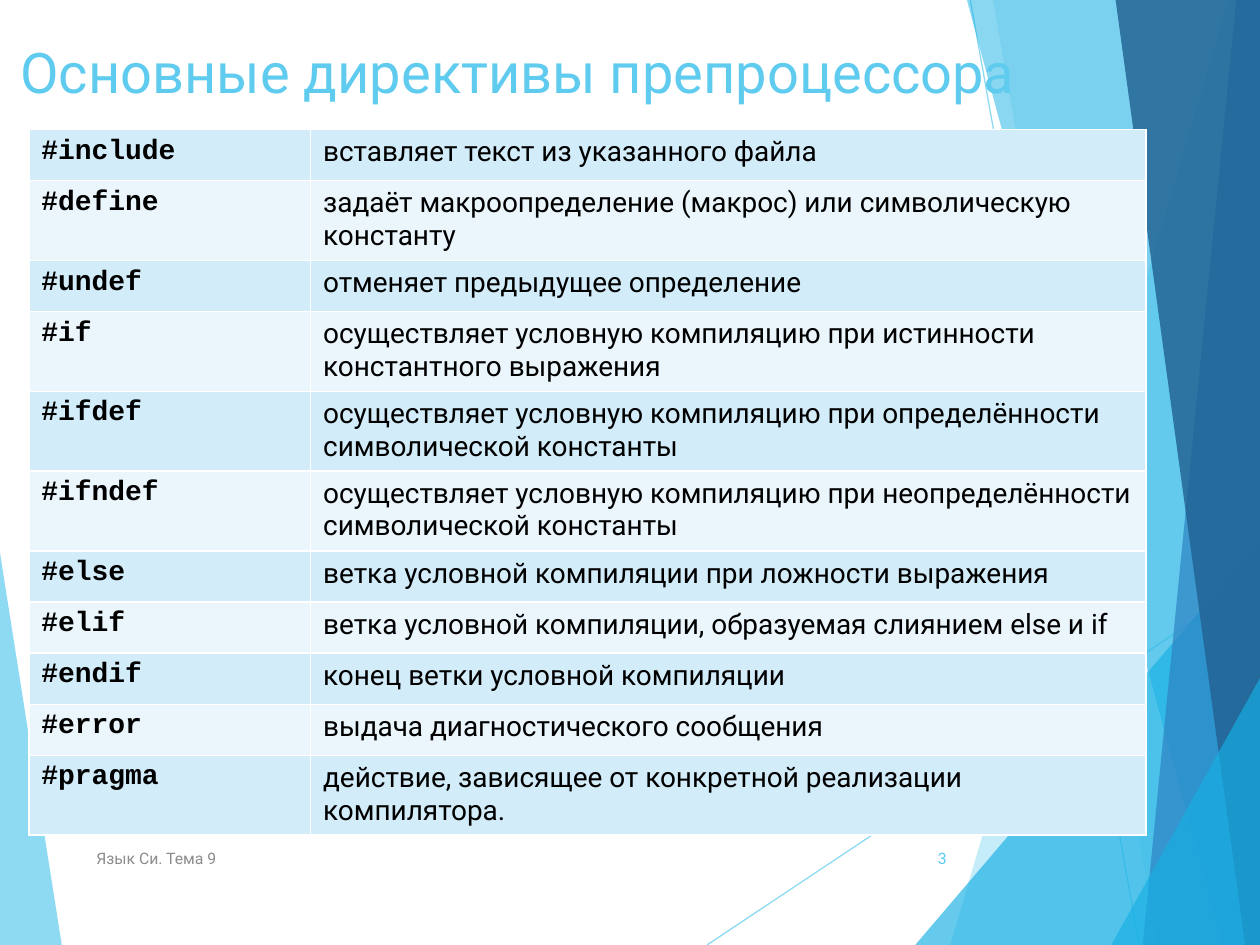
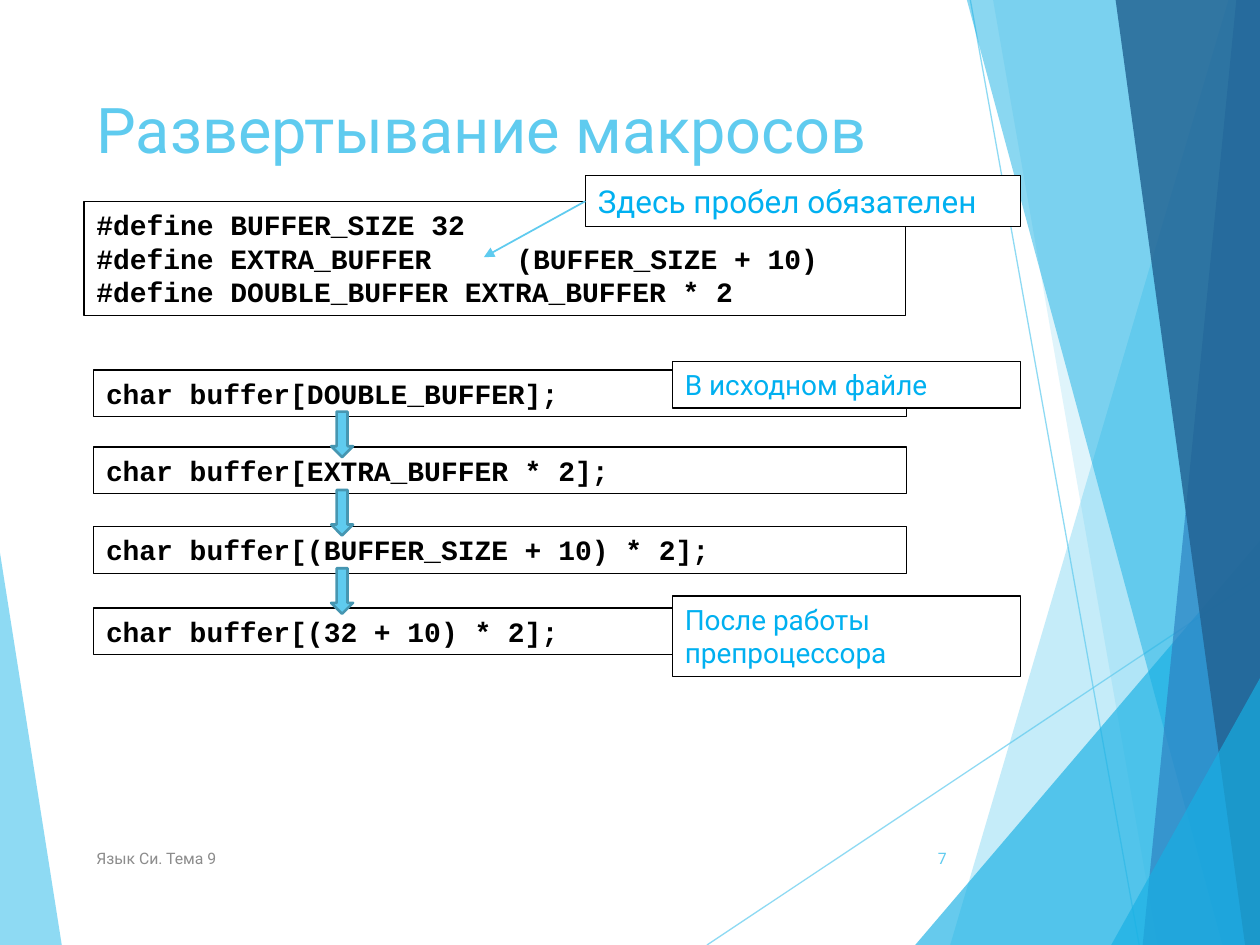
"""Build two slides about C preprocessor directives and macro expansion."""
import lxml.etree
import pptx
import pptx.dml.color
import pptx.enum.shapes
import pptx.enum.text
import pptx.oxml.ns
import pptx.util

Pt = pptx.util.Pt
qn = pptx.oxml.ns.qn
SHAPES = pptx.enum.shapes.MSO_SHAPE
STRAIGHT = pptx.enum.shapes.MSO_CONNECTOR.STRAIGHT
ANCHOR = pptx.enum.text.MSO_ANCHOR
ALIGN = pptx.enum.text.PP_ALIGN
FIT = pptx.enum.text.MSO_AUTO_SIZE
SANS, MONO = "Roboto", "Courier New"
SKY, AZURE, CALLOUT, BLACK, WHITE = "5FCBEF", "17B0E4", "00B0F0", "000000", "FFFFFF"


def paint(fill, value):
    fill.solid()
    fill.fore_color.rgb = pptx.dml.color.RGBColor.from_string(value)


def write(frame, text, size, font, value, bold=False):
    frame.word_wrap = True
    frame.text = text
    for para in frame.paragraphs:
        for span in para.runs:
            span.font.size = Pt(size)
            span.font.name = font
            span.font.bold = bold
            paint(span.font.fill, value)


deck = pptx.Presentation()
deck.slide_width, deck.slide_height = Pt(720), Pt(540)
layout = deck.slide_layouts[5]
directives_page = deck.slides.add_slide(layout)
macros_page = deck.slides.add_slide(layout)

left_band = ([(0, 316), (35.3, 540), (0, 540)], SKY, 70)
right_bands = [
    ([(702, 0), (543, 540), (720, 540), (720, 0)], SKY, 36),
    ([(567.5, 0), (661.5, 540), (720, 540), (720, 0)], SKY, 20),
    ([(523, 540), (720, 309), (720, 540)], AZURE, 66),
    ([(552.5, 0), (698.5, 540), (720, 540), (720, 0)], AZURE, 50),
    ([(706.5, 0), (653, 540), (720, 540), (720, 0)], "2E83C3", 70),
    ([(637.5, 0), (711.5, 540), (720, 540), (720, 0)], "226292", 82),
    ([(635, 540), (720, 387.5), (720, 540)], AZURE, 66),
]
rays = [([(404, 540), (720, 329.5)], SKY, 70), ([(554.5, 0), (651, 540)], SKY, 70)]
for points, value, opacity in [left_band, *rays, *right_bands]:
    corners = [(Pt(x), Pt(y)) for x, y in points]
    if len(corners) == 2:
        shape = directives_page.shapes.add_connector(STRAIGHT, *corners[0], *corners[1])
        shape.line.width = Pt(0.75)
        paint(shape.line.fill, value)
        lxml.etree.SubElement(shape.element.spPr, qn("a:effectLst"))
    else:
        builder = directives_page.shapes.build_freeform(*corners[0])
        builder.add_line_segments(corners[1:], close=True)
        shape = builder.convert_to_shape()
        shape.shadow.inherit = False
        shape.line.fill.background()
        paint(shape.fill, value)
    for tint in shape.element.iter(qn("a:srgbClr")):
        lxml.etree.SubElement(tint, qn("a:alpha"), val=str(opacity * 1000))
    layout.shapes.element.append(shape.element)

headings = [
    (directives_page, "Основные директивы препроцессора", 32, (4.5, 18, 590, 57.5), "3"),
    (macros_page, "Развертывание макросов", 36, (48, 48, 500, 104), "7"),
]
for page, heading, size, place, number in headings:
    title = page.shapes.title
    title.left, title.top, title.width, title.height = [Pt(length) for length in place]
    title.text_frame.auto_size = FIT.NONE
    title.text_frame.vertical_anchor = ANCHOR.TOP
    write(title.text_frame, heading, size, SANS, SKY)
    title.text_frame.paragraphs[0].alignment = ALIGN.LEFT
    footers = [
        ("Язык Си. Тема 9", 48, 364.5, "8C8C8C", ALIGN.LEFT),
        (number, 507.5, 40.5, SKY, ALIGN.RIGHT),
    ]
    for text, left, width, value, alignment in footers:
        footer = page.shapes.add_textbox(Pt(left), Pt(476), Pt(width), Pt(28.75))
        write(footer.text_frame, text, 9, SANS, value)
        footer.text_frame.vertical_anchor = ANCHOR.MIDDLE
        footer.text_frame.paragraphs[0].alignment = alignment

directives = [
    ("#include", "вставляет текст из указанного файла"),
    ("#define", "задаёт макроопределение (макрос) или символическую константу"),
    ("#undef", "отменяет предыдущее определение"),
    ("#if", "осуществляет условную компиляцию при истинности константного выражения"),
    ("#ifdef", "осуществляет условную компиляцию при определённости символической константы"),
    ("#ifndef", "осуществляет условную компиляцию при неопределённости символической константы"),
    ("#else", "ветка условной компиляции при ложности выражения"),
    ("#elif", "ветка условной компиляции, образуемая слиянием else и if"),
    ("#endif", "конец ветки условной компиляции"),
    ("#error", "выдача диагностического сообщения"),
    ("#pragma", "действие, зависящее от конкретной реализации компилятора."),
]
row_height = 29.2
table = directives_page.shapes.add_table(
    len(directives), 2, Pt(16.5), Pt(74), Pt(638.5), Pt(row_height * len(directives))
).table
table.first_row = table.horz_banding = False
table.columns[0].width, table.columns[1].width = Pt(161), Pt(477.5)
for index, directive in enumerate(directives):
    table.rows[index].height = Pt(row_height)
    for column, text in enumerate(directive):
        cell = table.cell(index, column)
        write(cell.text_frame, text, 16, SANS if column else MONO, BLACK, bold=column == 0)
        for side in ("a:lnL", "a:lnR", "a:lnT", "a:lnB"):
            border = lxml.etree.SubElement(cell._tc.get_or_add_tcPr(), qn(side), w=str(Pt(1)))
            border_fill = lxml.etree.SubElement(border, qn("a:solidFill"))
            lxml.etree.SubElement(border_fill, qn("a:srgbClr"), val=WHITE)
        paint(cell.fill, "EAF6FC" if index % 2 else "D2ECF9")

definitions = (
    "#define BUFFER_SIZE 32\n"
    "#define EXTRA_BUFFER\t(BUFFER_SIZE + 10)\n"
    "#define DOUBLE_BUFFER EXTRA_BUFFER * 2"
)
code_boxes = [
    (definitions, 48, 115, 469.5, 65.5),
    ("char buffer[DOUBLE_BUFFER];", 53.5, 211.5, 464.5, 26.75),
    ("char buffer[EXTRA_BUFFER * 2];", 53.5, 255.5, 464.5, 26.75),
    ("char buffer[(BUFFER_SIZE + 10) * 2];", 53.5, 301, 464.5, 26.75),
    ("char buffer[(32 + 10) * 2];", 53.5, 347.5, 464.5, 26.75),
]
callouts = [
    ("В исходном файле", 384.25, 206.5, 199, 26.75, 16),
    ("После работы препроцессора", 384.25, 340.5, 199, 46, 16),
    ("Здесь пробел обязателен", 334.5, 100.5, 248.75, 29, 18),
]
for text, *place in code_boxes:
    box = macros_page.shapes.add_textbox(*[Pt(length) for length in place])
    write(box.text_frame, text, 16, MONO, BLACK, bold=True)
    box.text_frame.auto_size = FIT.SHAPE_TO_FIT_TEXT
    box.line.width = Pt(0.75)
    paint(box.line.fill, BLACK)
    for para in box.text_frame.paragraphs:
        if "\t" in para.text:
            stops = lxml.etree.SubElement(para._p.get_or_add_pPr(), qn("a:tabLst"))
            lxml.etree.SubElement(stops, qn("a:tab"), pos=str(Pt(240)), algn="l")
for text, *place, size in callouts:
    box = macros_page.shapes.add_textbox(*[Pt(length) for length in place])
    write(box.text_frame, text, size, SANS, CALLOUT)
    box.text_frame.auto_size = FIT.SHAPE_TO_FIT_TEXT
    paint(box.fill, WHITE)
    box.line.width = Pt(0.75)
    paint(box.line.fill, BLACK)

for step in range(3):
    arrow = macros_page.shapes.add_shape(
        SHAPES.DOWN_ARROW, Pt(189.25), Pt(235.25 + 44.75 * step), Pt(12.5), Pt(26)
    )
    arrow.shadow.inherit = False
    paint(arrow.fill, SKY)
    arrow.line.width = Pt(1.5)
    paint(arrow.line.fill, "4696B1")

pointer = macros_page.shapes.add_connector(STRAIGHT, Pt(334.5), Pt(115), Pt(276.5), Pt(147))
pointer.line.width = Pt(1)
paint(pointer.line.fill, SKY)
lxml.etree.SubElement(pointer.element.spPr.find(qn("a:ln")), qn("a:tailEnd"), type="triangle")
lxml.etree.SubElement(pointer.element.spPr, qn("a:effectLst"))

deck.save("out.pptx")
